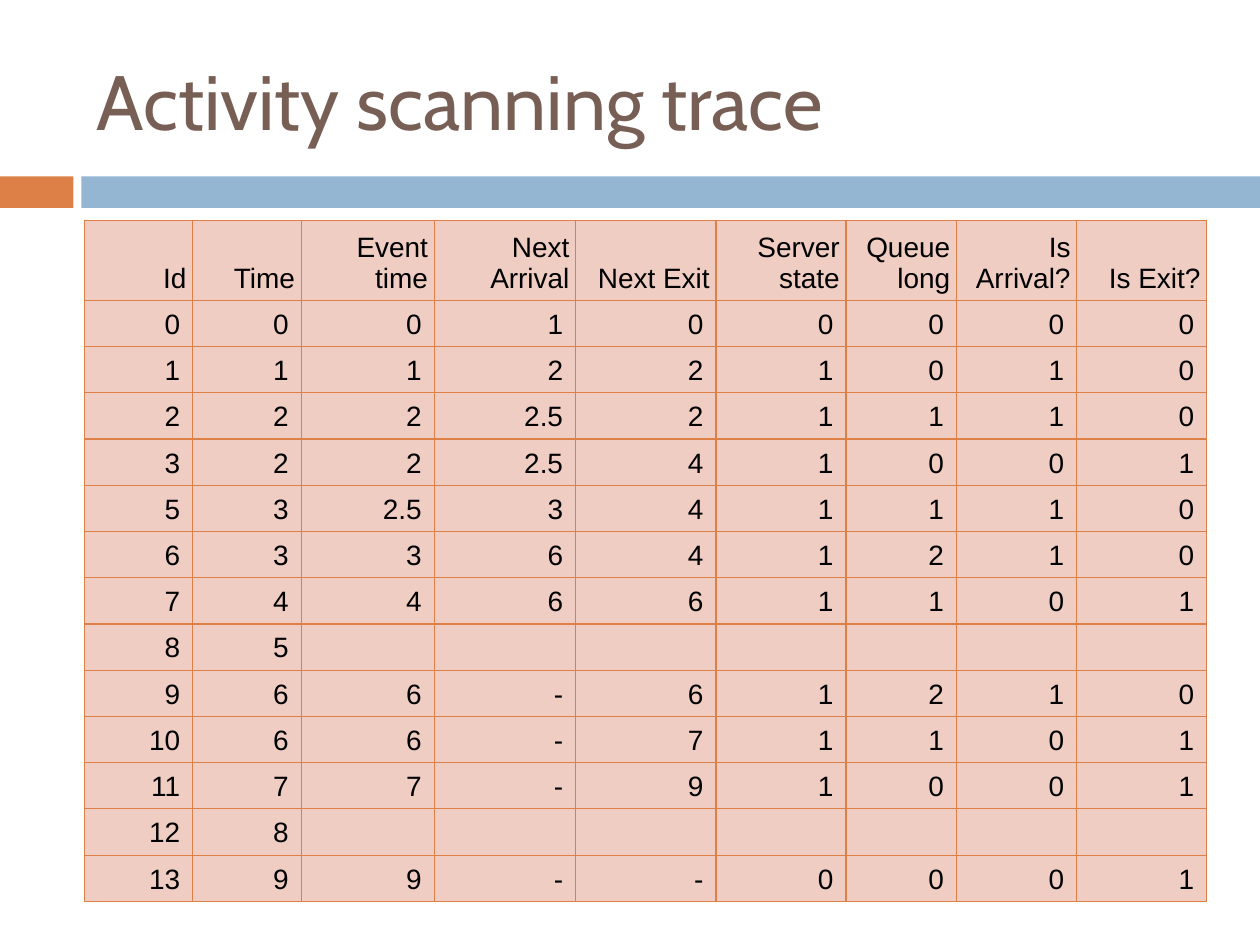
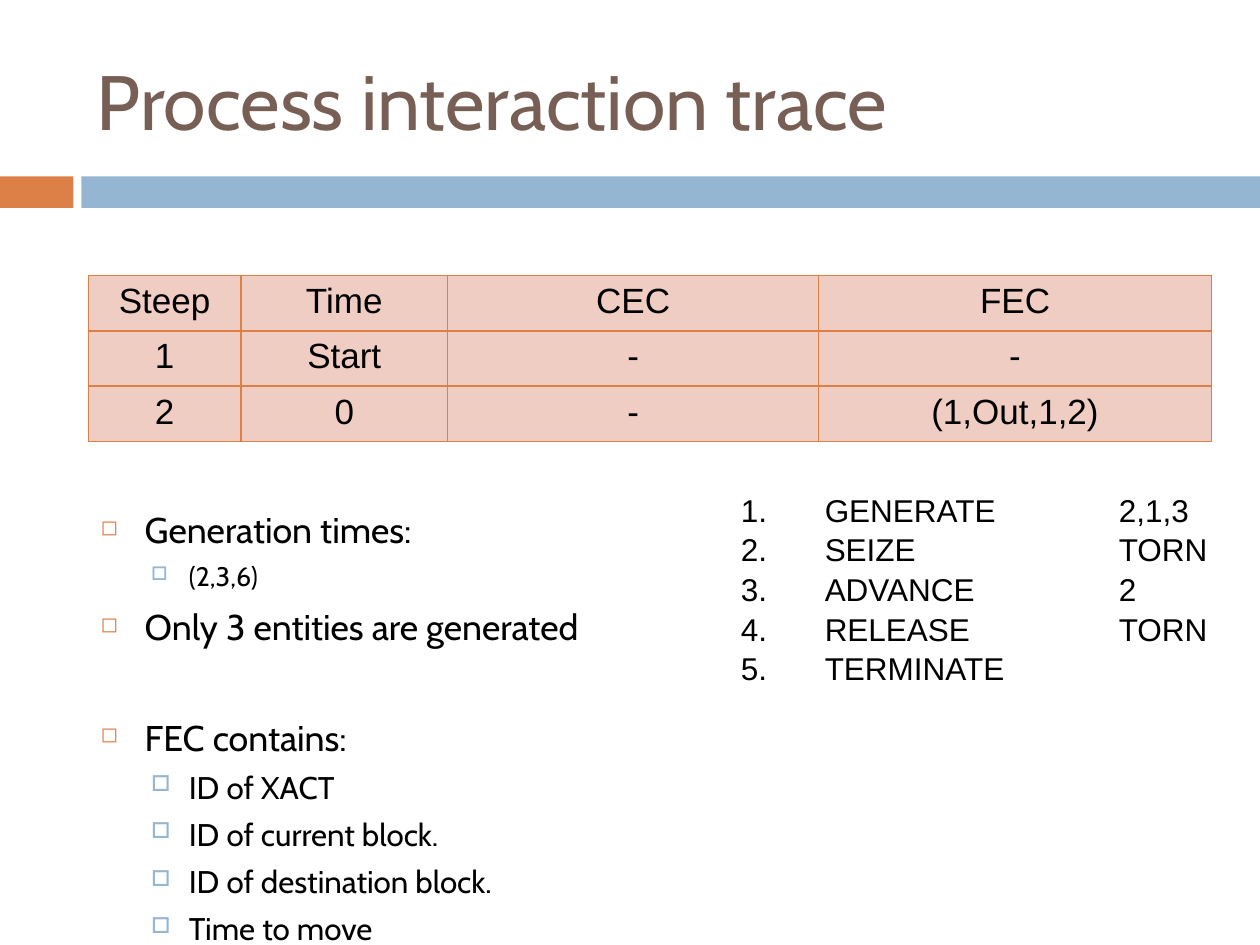
"""Build two slides of simulation traces with shared bands and titles."""
from dataclasses import dataclass

from lxml import etree
from pptx import Presentation
from pptx.dml.color import RGBColor
from pptx.enum.shapes import MSO_SHAPE
from pptx.enum.text import MSO_ANCHOR, PP_ALIGN
from pptx.oxml.ns import qn
from pptx.util import Pt

RECT = MSO_SHAPE.RECTANGLE
TOP, MIDDLE, BOTTOM = MSO_ANCHOR.TOP, MSO_ANCHOR.MIDDLE, MSO_ANCHOR.BOTTOM
LEFT, CENTER, RIGHT = PP_ALIGN.LEFT, PP_ALIGN.CENTER, PP_ALIGN.RIGHT
COLORS = {
    "orange": "DD8047", "blue": "94B6D2", "brown": "775F55",
    "cell": "EFCDC2", "black": "000000",
}
HEAD, BODY = "Cabin", "Arial"


@dataclass
class Box:
    left: float
    top: float
    width: float
    height: float

    def place(self) -> tuple:
        return Pt(self.left), Pt(self.top), Pt(self.width), Pt(self.height)


@dataclass
class Band:
    box: Box
    color: str


@dataclass
class Bullet:
    sign: str
    color: str
    scale: int
    indent: float
    hang: float
    level: int
    before: float


@dataclass
class Item:
    text: str
    size: float
    bullet: Bullet
    gap: float = 0


@dataclass
class Grid:
    left: float
    top: float
    cols: list
    heights: list
    rows: list
    size: float
    align: PP_ALIGN
    anchor: MSO_ANCHOR
    head_pad: float = 7.2


BANDS = [
    Band(Box(0, 100.8, 42, 18), "orange"),
    Band(Box(46.5, 100.8, 673.5, 18), "blue"),
]
TITLE = Box(48.2, 18, 642.2, 77.8)

SCAN = [
    ["Id", "Time", "Event time", "Next Arrival", "Next Exit",
     "Server state", "Queue long", "Is Arrival?", "Is Exit?"],
    *(line.split() for line in (
        "0 0 0 1 0 0 0 0 0",
        "1 1 1 2 2 1 0 1 0",
        "2 2 2 2.5 2 1 1 1 0",
        "3 2 2 2.5 4 1 0 0 1",
        "5 3 2.5 3 4 1 1 1 0",
        "6 3 3 6 4 1 2 1 0",
        "7 4 4 6 6 1 1 0 1",
        "8 5",
        "9 6 6 - 6 1 2 1 0",
        "10 6 6 - 7 1 1 0 1",
        "11 7 7 - 9 1 0 0 1",
        "12 8",
        "13 9 9 - - 0 0 0 1",
    )),
]
STEPS = [
    ["Steep", "Time", "CEC", "FEC"],
    ["1", "Start", "-", "-"],
    ["2", "0", "-", "(1,Out,1,2)"],
]
SCAN_GRID = Grid(
    48.2, 126, [61.9, 62.1, 76, 80.8, 80.2, 74.3, 63.1, 68.8, 74.3],
    [42.7] + [26.2] * 13, SCAN, 16, RIGHT, BOTTOM, head_pad=3.6)
STEP_GRID = Grid(
    50.4, 157.6, [87.3, 118.1, 212, 224.6], [31.5] * 3, STEPS, 20, CENTER, TOP)

MAIN = Bullet("◻", "orange", 60, 25.2, 25.2, 0, 7)
SUB = Bullet("□", "blue", 70, 50.4, 21.6, 1, 5.5)
NOTES = [
    Item("Generation times:", 20.4, MAIN),
    Item("(2,3,6)", 15.3, SUB),
    Item("Only 3 entities are generated", 20.4, MAIN),
    Item("FEC contains:", 20.4, MAIN, gap=31.8),
    *(Item(text, 17.9, SUB) for text in (
        "ID of XACT", "ID of current block.",
        "ID of destination block.", "Time to move")),
]
BLOCKS = ["GENERATE\t2,1,3", "SEIZE\tTORN", "ADVANCE\t2",
          "RELEASE\tTORN", "TERMINATE"]


def node(parent, tag: str, **attrs):
    return etree.SubElement(parent, qn(tag), attrs)


def tint(parent, color: str) -> None:
    node(parent, "a:srgbClr", val=COLORS[color])


def write(frame, text: str, *, size: float, font: str = BODY,
          color: str = "black", align: PP_ALIGN = LEFT, first: bool = True):
    para = frame.paragraphs[0] if first else frame.add_paragraph()
    para.alignment = align
    if not text:
        node(para._p, "a:endParaRPr", sz=str(size * 100))
        return para
    run = para.add_run()
    run.text = text
    run.font.size = Pt(size)
    run.font.name = font
    run.font.color.rgb = RGBColor.from_string(COLORS[color])
    return para


def indent(para, left: float, hang: float):
    props = para._p.get_or_add_pPr()
    props.set("marL", str(Pt(left)))
    props.set("indent", str(-Pt(hang)))
    return props


def mark(para, bullet: Bullet) -> None:
    para.level = bullet.level
    props = indent(para, bullet.indent, bullet.hang)
    tint(node(props, "a:buClr"), bullet.color)
    node(props, "a:buSzPct", val=str(bullet.scale * 1000))
    node(props, "a:buChar", char=bullet.sign)


def add_box(slide, box: Box, anchor: MSO_ANCHOR = TOP):
    frame = slide.shapes.add_textbox(*box.place()).text_frame
    frame.word_wrap = True
    frame.vertical_anchor = anchor
    return frame


def add_band(slide, band: Band) -> None:
    shape = slide.shapes.add_shape(RECT, *band.box.place())
    shape.shadow.inherit = False
    shape.fill.solid()
    shape.fill.fore_color.rgb = RGBColor.from_string(COLORS[band.color])
    shape.line.fill.background()


def add_page(deck, title: str):
    slide = deck.slides.add_slide(deck.slide_layouts[6])
    for band in BANDS:
        add_band(slide, band)
    write(add_box(slide, TITLE, MIDDLE), title, size=44, font=HEAD, color="brown")
    return slide


def style(cell, pad: float, anchor: MSO_ANCHOR) -> None:
    cell.margin_left = cell.margin_right = Pt(pad)
    cell.margin_top = cell.margin_bottom = Pt(3.6)
    cell.vertical_anchor = anchor
    props = cell._tc.get_or_add_tcPr()
    for side in "LRTB":
        line = node(props, f"a:ln{side}", w=str(Pt(0.79)))
        tint(node(line, "a:solidFill"), "orange")
    cell.fill.solid()
    cell.fill.fore_color.rgb = RGBColor.from_string(COLORS["cell"])


def add_grid(slide, grid: Grid) -> None:
    box = Box(grid.left, grid.top, sum(grid.cols), sum(grid.heights))
    table = slide.shapes.add_table(
        len(grid.rows), len(grid.cols), *box.place()).table
    table.first_row = table.horz_banding = False
    for col, width in zip(table.columns, grid.cols):
        col.width = Pt(width)
    for y, (row, height) in enumerate(zip(grid.rows, grid.heights)):
        table.rows[y].height = Pt(height)
        for x in range(len(grid.cols)):
            cell = table.cell(y, x)
            style(cell, 7.2 if y else grid.head_pad, grid.anchor)
            write(cell.text_frame, row[x] if x < len(row) else "",
                  size=grid.size, align=grid.align)


def add_notes(slide, box: Box, items: list) -> None:
    frame = add_box(slide, box)
    for i, item in enumerate(items):
        para = write(frame, item.text, size=item.size, font=HEAD, first=i == 0)
        para.space_before = Pt(item.bullet.before + item.gap)
        mark(para, item.bullet)


def add_code(slide, box: Box, lines: list) -> None:
    frame = add_box(slide, box)
    for i, line in enumerate(lines):
        para = write(frame, line, size=18, first=i == 0)
        para.line_spacing = 1.05
        props = indent(para, 48, 48)
        node(props, "a:buAutoNum", type="arabicPeriod")
        node(node(props, "a:tabLst"), "a:tab", pos=str(Pt(216)), algn="l")


def main() -> None:
    deck = Presentation()
    deck.slide_width, deck.slide_height = Pt(720), Pt(540)
    add_grid(add_page(deck, "Activity scanning trace"), SCAN_GRID)
    slide = add_page(deck, "Process interaction trace")
    add_grid(slide, STEP_GRID)
    add_notes(slide, Box(50.4, 286.6, 354.2, 230.4), NOTES)
    add_code(slide, Box(416.2, 275.8, 281.5, 116.6), BLOCKS)
    deck.save("out.pptx")


if __name__ == "__main__":
    main()
